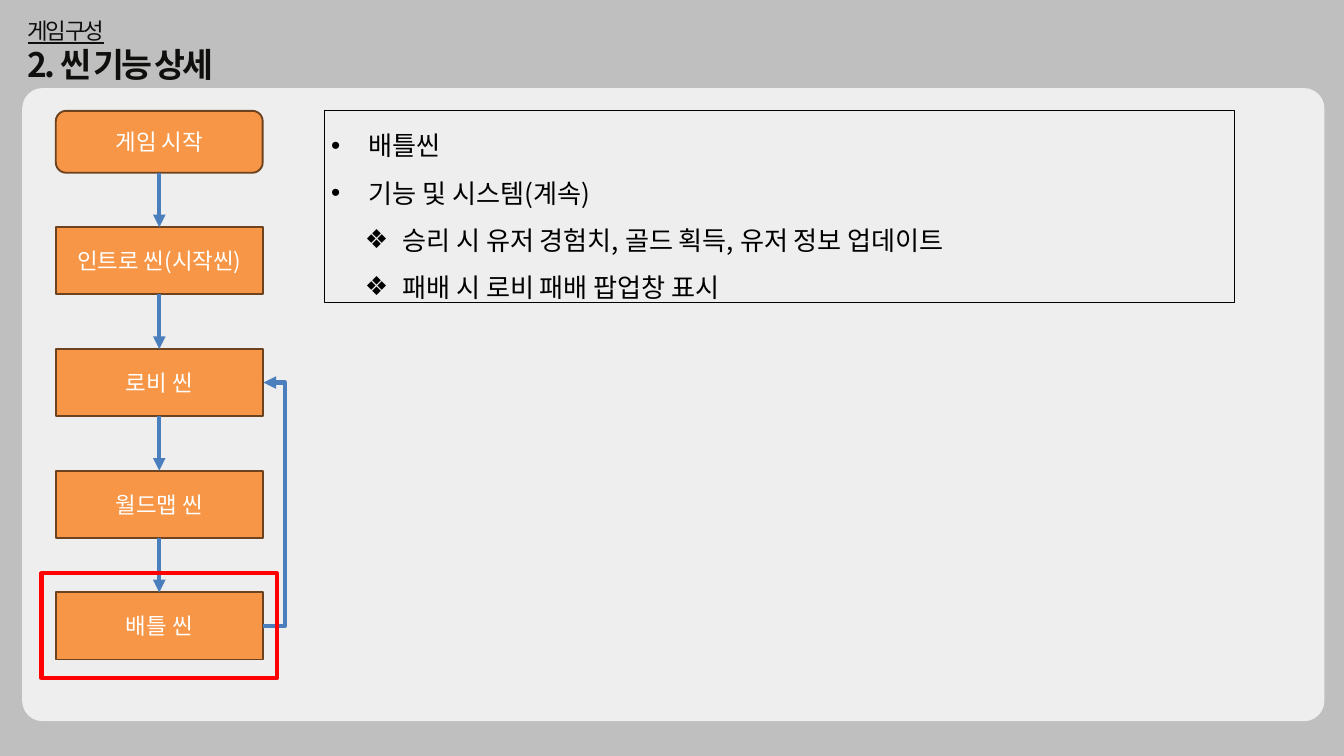
from dataclasses import dataclass

from lxml import etree
from pptx import Presentation
from pptx.dml.color import RGBColor
from pptx.enum.shapes import MSO_CONNECTOR, MSO_SHAPE
from pptx.enum.text import MSO_ANCHOR, MSO_AUTO_SIZE, PP_ALIGN
from pptx.oxml.ns import qn
from pptx.util import Cm, Pt

RECTANGLE = MSO_SHAPE.RECTANGLE
ROUNDED = MSO_SHAPE.ROUNDED_RECTANGLE
TERMINAL = MSO_SHAPE.FLOWCHART_ALTERNATE_PROCESS
STRAIGHT, ELBOW = MSO_CONNECTOR.STRAIGHT, MSO_CONNECTOR.ELBOW
TOP, MIDDLE = MSO_ANCHOR.TOP, MSO_ANCHOR.MIDDLE
LEFT, CENTER = PP_ALIGN.LEFT, PP_ALIGN.CENTER
GROW = MSO_AUTO_SIZE.SHAPE_TO_FIT_TEXT
TOP_SIDE, BOTTOM_SIDE, RIGHT_SIDE = 0, 2, 3


@dataclass(frozen=True)
class Theme:
    font: str = "Noto Sans CJK KR"
    background: str = "BFBFBF"
    panel: str = "EEEEEE"
    title: str = "0F0F0E"
    scene: str = "F79646"
    scene_line: str = "6C421F"
    scene_text: str = "FFFFFF"
    arrow: str = "4B7EBC"
    highlight: str = "FF0000"
    body: str = "000000"
    label_size: int = 24
    body_size: int = 28
    title_size: int = 36


theme = Theme()


def add_box(kind, left, top, width, height, fill=None, line=None, weight=0):
    shape = slide.shapes.add_shape(kind, Cm(left), Cm(top), Cm(width), Cm(height))
    shape.shadow.inherit = False
    if fill:
        shape.fill.solid()
        shape.fill.fore_color.rgb = RGBColor.from_string(fill)
    else:
        shape.fill.background()
    if line:
        shape.line.color.rgb = RGBColor.from_string(line)
        shape.line.width = Pt(weight)
    else:
        shape.line.fill.background()
    return shape


def format_paragraph(paragraph, size, color, align):
    paragraph.alignment = align
    for run in paragraph.runs:
        run.font.size = Pt(size)
        run.font.name = theme.font
        run.font.color.rgb = RGBColor.from_string(color)
        east_asian = etree.SubElement(run.font._element, qn("a:ea"))
        east_asian.set("typeface", theme.font)


presentation = Presentation()
presentation.slide_width = Cm(50.8)
presentation.slide_height = Cm(28.575)
slide = presentation.slides.add_slide(presentation.slide_layouts[5])
slide.background.fill.solid()
slide.background.fill.fore_color.rgb = RGBColor.from_string(theme.background)

title = slide.shapes.title
title.left, title.top, title.width, title.height = Cm(0.79), Cm(0.51), Cm(15.93), Cm(2.82)
title.text_frame.text = "게임 구성\n2. 씬 기능 상세"
title.text_frame.vertical_anchor = MIDDLE
title.text_frame.auto_size = GROW
section, heading = title.text_frame.paragraphs
format_paragraph(section, theme.label_size, theme.title, LEFT)
format_paragraph(heading, theme.title_size, theme.title, LEFT)
section.runs[0].font.underline = True
heading.runs[0].font.bold = True
for paragraph in (section, heading):
    paragraph.runs[0].font._element.set("spc", "-300")

panel = add_box(ROUNDED, 0.84, 3.33, 49.22, 23.93, theme.panel)
panel.adjustments[0] = 0.032

scene_left, scene_width, scene_height = 2.11, 7.82, 2.54
first_scene_top, scene_step = 8.59, 4.6
scene_names = ["게임 시작", "인트로 씬(시작씬)", "로비 씬", "월드맵 씬", "배틀 씬"]
scenes = []
for index, name in enumerate(scene_names):
    if index == 0:
        kind, top, height = TERMINAL, 4.19, 2.34
    else:
        kind, top, height = RECTANGLE, first_scene_top + (index - 1) * scene_step, scene_height
    scene = add_box(kind, scene_left, top, scene_width, height, theme.scene, theme.scene_line, 2)
    scene.text_frame.text = name
    scene.text_frame.vertical_anchor = MIDDLE
    format_paragraph(scene.text_frame.paragraphs[0], theme.label_size, theme.scene_text, CENTER)
    scenes.append(scene)

start, intro, lobby, world_map, battle = scenes
links = [(STRAIGHT, upper, BOTTOM_SIDE, lower, TOP_SIDE) for upper, lower in zip(scenes, scenes[1:])]
links.append((ELBOW, battle, RIGHT_SIDE, lobby, RIGHT_SIDE))
for kind, source, source_side, target, target_side in links:
    connector = slide.shapes.add_connector(kind, 0, 0, 0, 0)
    connector.begin_connect(source, source_side)
    connector.end_connect(target, target_side)
    connector.line.color.rgb = RGBColor.from_string(theme.arrow)
    connector.line.width = Pt(4.5)
    properties = connector._element.spPr
    etree.SubElement(properties.find(qn("a:ln")), qn("a:tailEnd")).set("type", "triangle")
    etree.SubElement(properties, qn("a:effectLst"))
    if kind == ELBOW:
        bend, width = Cm(0.84), Cm(0.03)
        connector.end_x = connector.begin_x + width
        guide = etree.SubElement(properties.prstGeom.get_or_add_avLst(), qn("a:gd"))
        guide.set("name", "adj1")
        guide.set("fmla", f"val {round(bend / width * 100000)}")

add_box(RECTANGLE, 1.57, 21.67, 8.89, 3.96, line=theme.highlight, weight=4.5)

details = [
    (0, "•", "배틀씬"),
    (0, "•", "기능 및 시스템(계속)"),
    (1, "❖", "승리 시 유저 경험치, 골드 획득, 유저 정보 업데이트"),
    (1, "❖", "패배 시 로비 패배 팝업창 표시"),
]
description = add_box(RECTANGLE, 12.27, 4.19, 34.39, 7.24, line=theme.body, weight=0.75)
description.text_frame.text = "\n".join(text for level, bullet, text in details)
description.text_frame.vertical_anchor = TOP
description.text_frame.auto_size = GROW
for paragraph, (level, bullet, text) in zip(description.text_frame.paragraphs, details):
    format_paragraph(paragraph, theme.body_size, theme.body, LEFT)
    paragraph.level = level
    paragraph.line_spacing = 1.5
    properties = paragraph._p.get_or_add_pPr()
    properties.set("marL", str(Cm(1.42 + 1.27 * level)))
    properties.set("indent", str(Cm(-1.42)))
    etree.SubElement(properties, qn("a:buFont")).set("typeface", "Arial")
    etree.SubElement(properties, qn("a:buChar")).set("char", bullet)

presentation.save("out.pptx")
